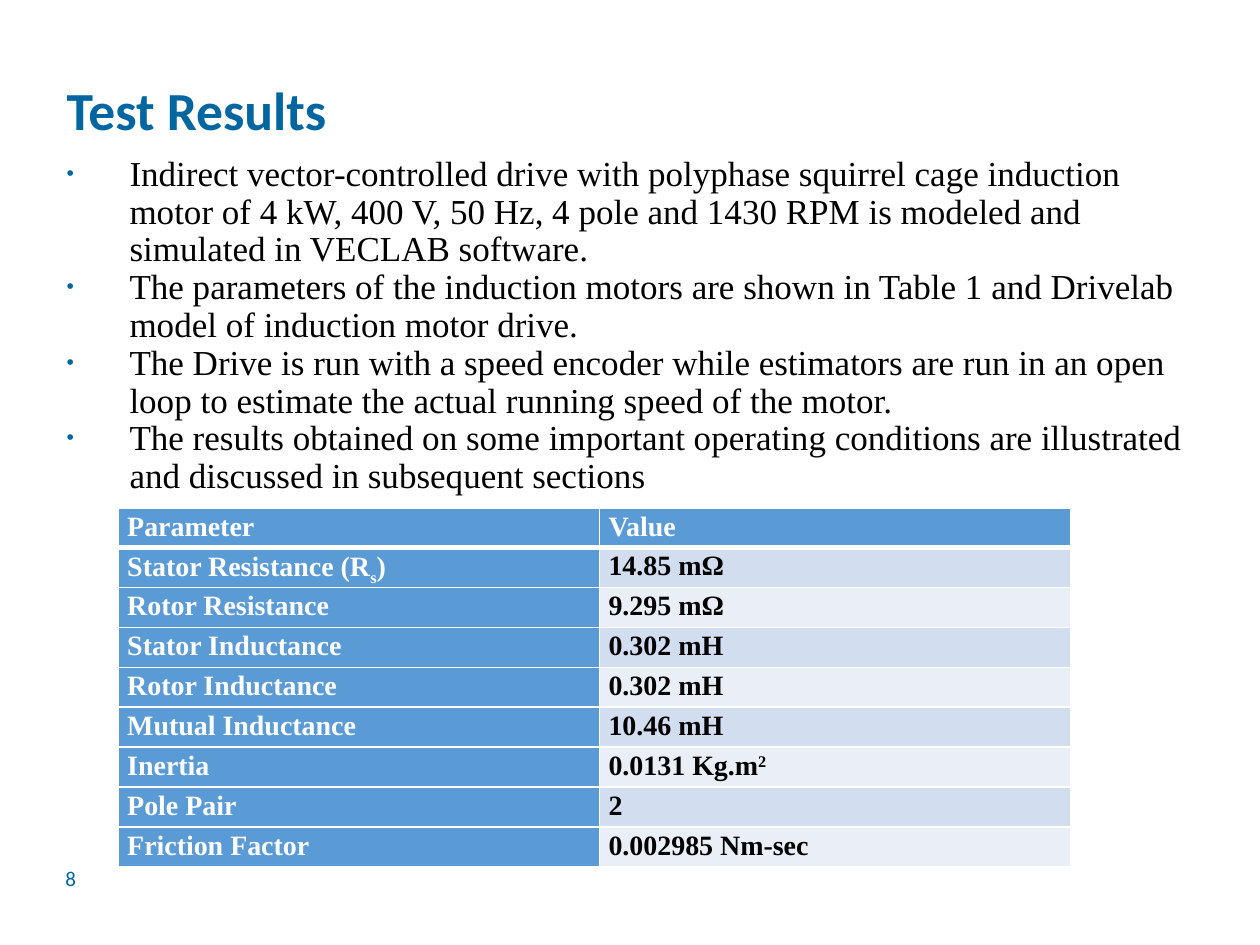
from lxml import etree
from pptx import Presentation
from pptx.dml.color import RGBColor
from pptx.enum.text import MSO_ANCHOR
from pptx.oxml.ns import qn
from pptx.util import Inches, Pt

MIDDLE = MSO_ANCHOR.MIDDLE
TOP = MSO_ANCHOR.TOP
SERIF, SANS = "Times New Roman", "Calibri"
BLUE, WHITE, BLACK = "0066A1", "FFFFFF", "000000"
HEADER_FILL = "5B9BD5"
BAND_FILLS = ("D2DEEF", "EAEFF7")

BULLETS = [
    "Indirect vector-controlled drive with polyphase squirrel cage induction motor of "
    "4 kW, 400 V, 50 Hz, 4 pole and 1430 RPM is modeled and simulated in VECLAB software.",
    "The parameters of the induction motors are shown in Table 1 and Drivelab model of "
    "induction motor drive.",
    "The Drive is run with a speed encoder while estimators are run in an open loop to "
    "estimate the actual running speed of the motor.",
    "The results obtained on some important operating conditions are illustrated and "
    "discussed in subsequent sections",
]

# A cell is a list of (text, baseline shift in percent) runs, or plain text
PARAMETERS = [
    ("Parameter", "Value"),
    ([("Stator Resistance (R", 0), ("s", -25), (")", 0)], "14.85 mΩ"),
    ("Rotor Resistance", "9.295 mΩ"),
    ("Stator Inductance", "0.302 mH"),
    ("Rotor Inductance", "0.302 mH"),
    ("Mutual Inductance", "10.46 mH"),
    ("Inertia", [("0.0131 Kg.m", 0), ("2", 30)]),
    ("Pole Pair", "2"),
    ("Friction Factor", "0.002985 Nm-sec"),
]


def rgb(value):
    return RGBColor.from_string(value)


def write(paragraph, text, font=SERIF, size=20, color=BLACK, bold=False, spacing=0.9):
    paragraph.line_spacing = spacing
    for part, baseline in [(text, 0)] if isinstance(text, str) else text:
        run = paragraph.add_run()
        run.text = part
        run.font.name = font
        run.font.size = Pt(size)
        run.font.bold = bold
        run.font.color.rgb = rgb(color)
        if baseline:
            run.font._element.set("baseline", str(baseline * 1000))


def add_bullet(paragraph, color, percent, indent):
    properties = paragraph._p.get_or_add_pPr()
    properties.set("marL", str(indent))
    properties.set("indent", str(-indent))
    bullet_color = etree.SubElement(properties, qn("a:buClr"))
    etree.SubElement(bullet_color, qn("a:srgbClr"), val=color)
    etree.SubElement(properties, qn("a:buSzPct"), val=str(percent * 1000))
    etree.SubElement(properties, qn("a:buFont"), typeface="Arial")
    etree.SubElement(properties, qn("a:buChar"), char="•")


def set_borders(cell, color, **widths):
    properties = cell._tc.get_or_add_tcPr()
    for side in ("L", "R", "T", "B"):
        line = etree.SubElement(properties, qn("a:ln" + side), w=str(Pt(widths.get(side, 1))))
        fill = etree.SubElement(line, qn("a:solidFill"))
        etree.SubElement(fill, qn("a:srgbClr"), val=color)


def add_text_frame(slide, box, anchor=TOP):
    frame = slide.shapes.add_textbox(*map(Inches, box)).text_frame
    frame.word_wrap = True
    frame.vertical_anchor = anchor
    return frame


def add_title(slide, box):
    frame = add_text_frame(slide, box)
    write(frame.paragraphs[0], "Test Results", font=SANS, size=30.6, color=BLUE, bold=True)


def add_body(slide, box):
    frame = add_text_frame(slide, box)
    for index, text in enumerate(BULLETS):
        paragraph = frame.add_paragraph() if index else frame.paragraphs[0]
        write(paragraph, text)
        add_bullet(paragraph, BLUE, 60, Inches(0.5))


def add_parameter_table(slide, box, column_widths):
    table = slide.shapes.add_table(len(PARAMETERS), 2, *map(Inches, box)).table
    for column, width in zip(table.columns, column_widths):
        column.width = Inches(width)
    for row_index, row in enumerate(PARAMETERS):
        for column_index, text in enumerate(row):
            cell = table.cell(row_index, column_index)
            is_header = row_index == 0 or column_index == 0
            cell.vertical_anchor = MIDDLE
            cell.margin_left = cell.margin_right = Inches(0.07)
            cell.margin_top = cell.margin_bottom = 0
            set_borders(cell, WHITE, B=3 if row_index == 0 else 1,
                        T=3 if row_index == 1 else 1)
            cell.fill.solid()
            cell.fill.fore_color.rgb = rgb(
                HEADER_FILL if is_header else BAND_FILLS[(row_index - 1) % 2])
            write(cell.text_frame.paragraphs[0], text, size=16, bold=True,
                  color=WHITE if is_header else BLACK)


def add_slide_number(slide, box):
    frame = add_text_frame(slide, box, MIDDLE)
    write(frame.paragraphs[0], "8", font=SANS, size=12, color=BLUE, spacing=1.0)


def main():
    presentation = Presentation()
    presentation.slide_width = Inches(10)
    presentation.slide_height = Inches(7.5)
    slide = presentation.slides.add_slide(presentation.slide_layouts[6])
    add_slide_number(slide, (0.42, 6.77, 2.25, 0.4))
    add_title(slide, (0.43, 0.62, 9.21, 0.57))
    add_body(slide, (0.43, 1.19, 9.13, 5.34))
    add_parameter_table(slide, (0.94, 4.03, 7.56, 2.85), (3.82, 3.74))
    presentation.save("out.pptx")


if __name__ == "__main__":
    main()
